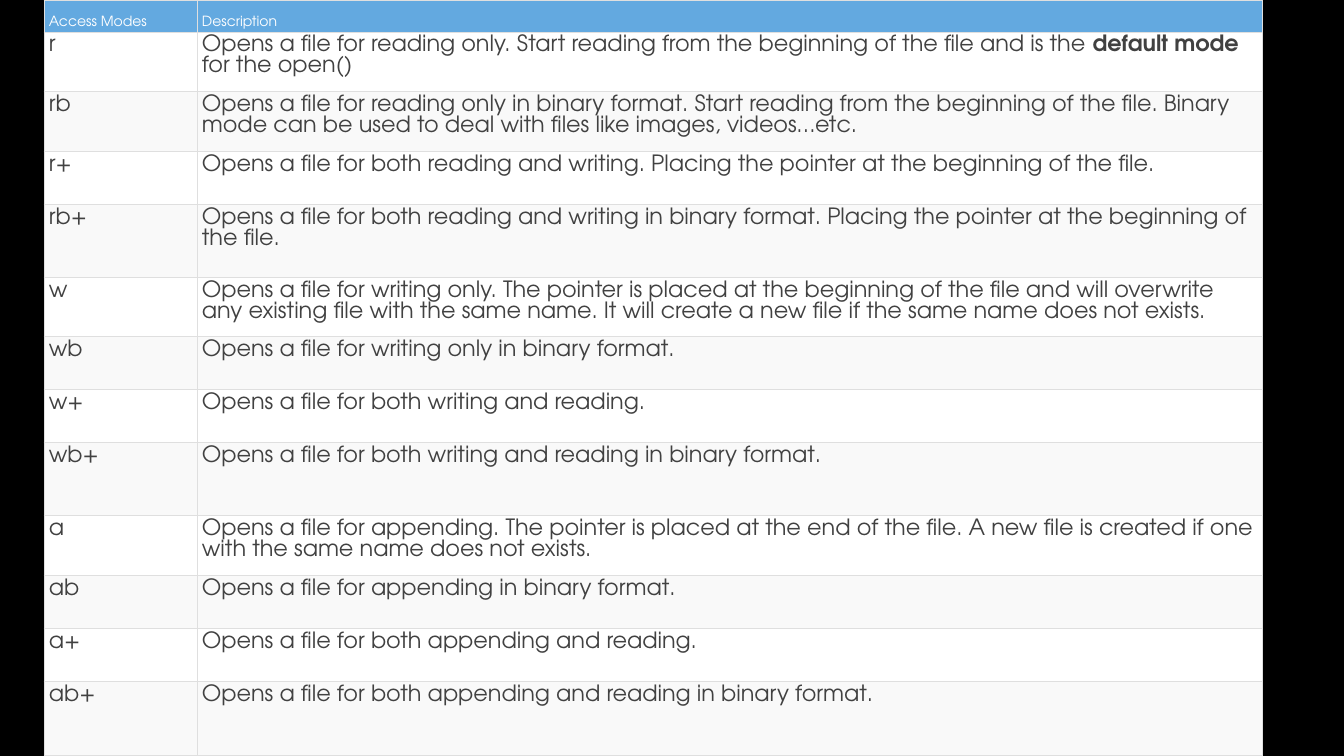
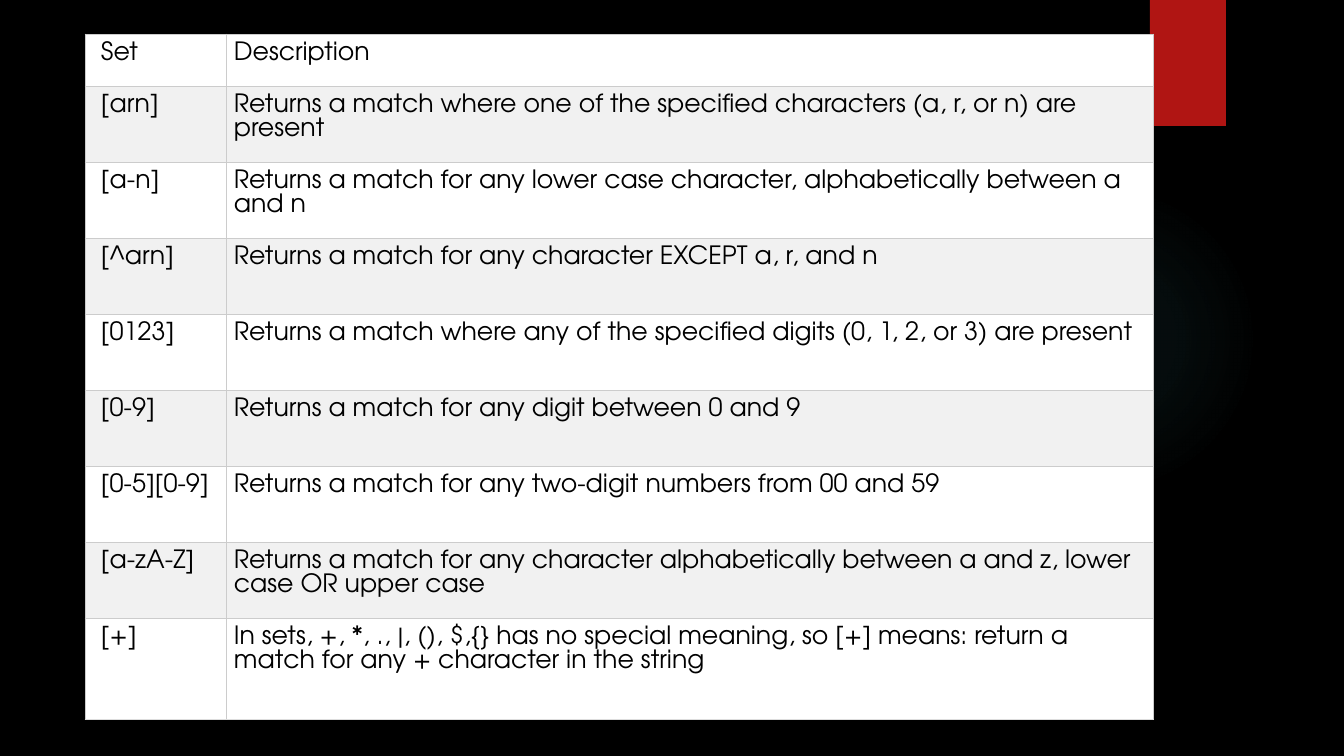
import lxml.etree
import pptx
import pptx.dml.color
import pptx.enum.shapes
import pptx.enum.text
import pptx.oxml
import pptx.oxml.ns
import pptx.util
from dataclasses import dataclass

# ---- Content: plain text, or a list of (text, bold) pieces ----
ACCESS_MODES = [
    ("Access Modes", "Description"),
    ("r", [("Opens a file for reading only. Start reading from the beginning of the file and is the ", False),
           ("default mode ", True), ("for the open()", False)]),
    ("rb", "Opens a file for reading only in binary format. Start reading from the beginning of the file. "
           "Binary mode can be used to deal with files like images, videos…etc."),
    ("r+", "Opens a file for both reading and writing. Placing the pointer at the beginning of the file."),
    ("rb+", "Opens a file for both reading and writing in binary format. "
            "Placing the pointer at the beginning of the file."),
    ("w", "Opens a file for writing only. The pointer is placed at the beginning of the file and will overwrite "
          "any existing file with the same name. It will create a new file if the same name does not exists."),
    ("wb", "Opens a file for writing only in binary format."),
    ("w+", "Opens a file for both writing and reading."),
    ("wb+", "Opens a file for both writing and reading in binary format."),
    ("a", "Opens a file for appending. The pointer is placed at the end of the file. "
          "A new file is created if one with the same name does not exists."),
    ("ab", "Opens a file for appending in binary format."),
    ("a+", "Opens a file for both appending and reading."),
    ("ab+", "Opens a file for both appending and reading in binary format."),
]

REGEX_SETS = [
    ("Set", "Description"),
    ("[arn]", "Returns a match where one of the specified characters (a, r, or n) are present"),
    ("[a-n]", "Returns a match for any lower case character, alphabetically between a and n"),
    ("[^arn]", "Returns a match for any character EXCEPT a, r, and n"),
    ("[0123]", "Returns a match where any of the specified digits (0, 1, 2, or 3) are present"),
    ("[0-9]", "Returns a match for any digit between 0 and 9"),
    ("[0-5][0-9]", "Returns a match for any two-digit numbers from 00 and 59"),
    ("[a-zA-Z]", "Returns a match for any character alphabetically between a and z, lower case OR upper case"),
    ("[+]", "In sets, +, *, ., |, (), $,{} has no special meaning, so [+] means: "
            "return a match for any + character in the string"),
]


# ---- Theme and table styles ----
@dataclass(frozen=True)
class Theme:
    font: str = "TeX Gyre Adventor"
    background: str = "000000"
    ribbon: str = "B01513"
    glow: str = "50B9C1"
    glow_stops: tuple = ((0, 7), (36, 6), (69, 0))  # position %, opacity %
    border_width: float = 0.75


@dataclass(frozen=True)
class TableStyle:
    header_fill: str
    header_color: str
    header_size: int
    header_anchor: pptx.enum.text.MSO_ANCHOR
    body_color: str
    body_size: int
    bands: tuple
    border: str
    last_border: str
    key_inset: int
    inset_x: int
    inset_y: int


THEME = Theme()
ANCHOR = pptx.enum.text.MSO_ANCHOR
MODES_STYLE = TableStyle("63A9E0", "FFFFFF", 10, ANCHOR.BOTTOM, "414141", 16,
                         ("F9F9F9", "FFFFFF"), "DFDFDF", "DFDFDF", 5, 5, 3)
SETS_STYLE = TableStyle("FFFFFF", "000000", 18, ANCHOR.TOP, "000000", 18,
                        ("FFFFFF", "F1F1F1"), "CCCCCC", "DDDDDD", 16, 8, 8)

# Left, top, column widths and row heights in px
TABLES = [
    (ACCESS_MODES, MODES_STYLE, 44, 0, (153, 1065), (32, 60, 60, 53, 73, 59, 53, 53, 73, 60, 53, 53, 74)),
    (REGEX_SETS, SETS_STYLE, 85, 34, (141, 928), (52, *[76] * 7, 101)),
]
SLIDE_SIZE = (1344, 756)
PX_PER_INCH = 100.8


# ---- Helpers ----
def px(length):
    return pptx.util.Emu(round(length * 914400 / PX_PER_INCH))


def rgb(color):
    return pptx.dml.color.RGBColor.from_string(color)


def add_text(para, text, *, size, color, bold=False):
    span = para.add_run()
    span.text = text
    span.font.name = THEME.font
    span.font.size = pptx.util.Pt(size)
    span.font.bold = bold
    span.font.color.rgb = rgb(color)


def add_plain_shape(page, kind, *box):
    shape = page.shapes.add_shape(kind, *map(px, box))
    shape.shadow.inherit = False
    shape.line.fill.background()
    return shape


def set_borders(cell, color, bottom):
    properties = cell._tc.get_or_add_tcPr()
    for side in "LRTB":
        properties.append(pptx.oxml.parse_xml(
            f'<a:ln{side} {pptx.oxml.ns.nsdecls("a")} w="{pptx.util.Pt(THEME.border_width)}">'
            f'<a:solidFill><a:srgbClr val="{bottom if side == "B" else color}"/></a:solidFill>'
            f'</a:ln{side}>'))


# ---- Shared decoration ----
def add_decoration(page):
    preset = pptx.enum.shapes.MSO_SHAPE
    glow = add_plain_shape(page, preset.OVAL, 949, 184, 310, 310)
    stops = "".join(
        f'<a:gs pos="{position * 1000}"><a:srgbClr val="{THEME.glow}">'
        f'<a:alpha val="{opacity * 1000}"/></a:srgbClr></a:gs>'
        for position, opacity in THEME.glow_stops)
    gradient = pptx.oxml.parse_xml(
        f'<a:gradFill {pptx.oxml.ns.nsdecls("a")}><a:gsLst>{stops}</a:gsLst>'
        '<a:path path="circle"><a:fillToRect l="50000" t="50000" r="50000" b="50000"/></a:path>'
        '</a:gradFill>')
    glow._element.spPr.find(pptx.oxml.ns.qn("a:prstGeom")).addnext(gradient)

    ribbon = add_plain_shape(page, preset.RECTANGLE, 1150, 0, 76, 126)
    ribbon.fill.solid()
    ribbon.fill.fore_color.rgb = rgb(THEME.ribbon)


# ---- Tables ----
def fill_cell(cell, content, style, *, row, column, last):
    header = row == 0
    set_borders(cell, style.border, style.last_border if last else style.border)
    cell.fill.solid()
    cell.fill.fore_color.rgb = rgb(style.header_fill if header else style.bands[row % 2])
    cell.margin_left = px(style.inset_x if column else style.key_inset)
    cell.margin_right = px(style.inset_x)
    cell.margin_top = cell.margin_bottom = px(style.inset_y)
    cell.vertical_anchor = style.header_anchor if header else ANCHOR.TOP
    pieces = [(content, False)] if isinstance(content, str) else content
    for text, bold in pieces:
        add_text(cell.text_frame.paragraphs[0], text, bold=bold,
                 size=style.header_size if header else style.body_size,
                 color=style.header_color if header else style.body_color)


def add_reference_table(page, rows, style, left, top, widths, heights):
    box = map(px, (left, top, sum(widths), sum(heights)))
    table = page.shapes.add_table(len(rows), len(widths), *box).table
    table.first_row = table.horz_banding = False
    for column, width in zip(table.columns, widths):
        column.width = px(width)
    for row_index, (contents, height) in enumerate(zip(rows, heights)):
        table.rows[row_index].height = px(height)
        for column_index, content in enumerate(contents):
            fill_cell(table.cell(row_index, column_index), content, style,
                      row=row_index, column=column_index, last=row_index == len(rows) - 1)


def main():
    deck = pptx.Presentation()
    deck.slide_width, deck.slide_height = map(px, SLIDE_SIZE)
    background = deck.slide_master.background.fill
    background.solid()
    background.fore_color.rgb = rgb(THEME.background)
    for table in TABLES:
        page = deck.slides.add_slide(deck.slide_layouts[6])
        add_decoration(page)
        add_reference_table(page, *table)
    deck.save("out.pptx")


if __name__ == "__main__":
    main()
